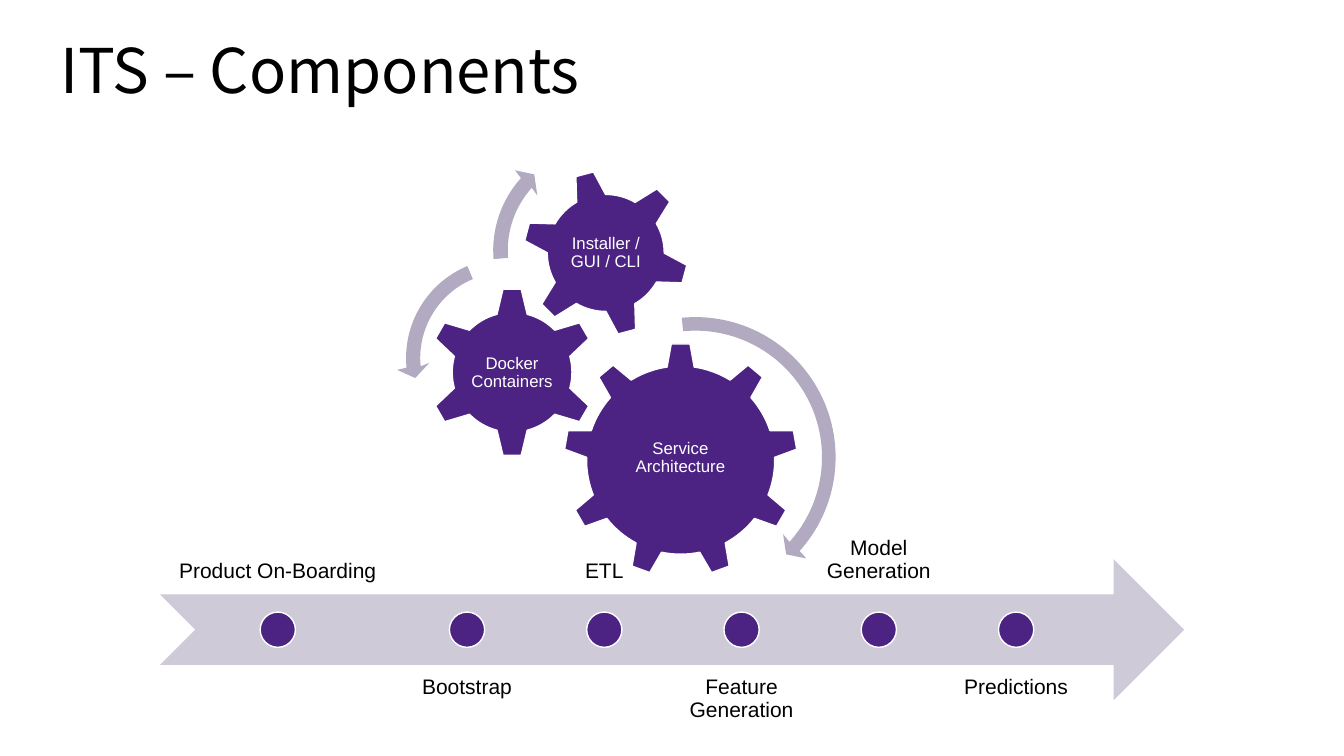
import math

import lxml.etree
import pptx
import pptx.dml.color
import pptx.enum.shapes
import pptx.enum.text
import pptx.oxml.ns
import pptx.util

Pt = pptx.util.Pt
RGB = pptx.dml.color.RGBColor.from_string
SHAPE = pptx.enum.shapes.MSO_SHAPE
ANCHOR = pptx.enum.text.MSO_ANCHOR
ALIGN = pptx.enum.text.PP_ALIGN
qn = pptx.oxml.ns.qn

THEME = {
    "purple": RGB("4C2383"), "band": RGB("CECAD8"), "swirl": RGB("B1AAC0"),
    "white": RGB("FFFFFF"), "black": RGB("000000"),
    "title_font": "Noto Sans CJK SC", "body_font": "Arial",
    "title_size": 44, "label_size": 15, "gear_size": 12,
}

presentation = pptx.Presentation()
presentation.slide_width, presentation.slide_height = Pt(960), Pt(540)
slide = presentation.slides.add_slide(presentation.slide_layouts[6])


def add_text(text, left, top, width, height, size, color, anchor, inset,
             font=THEME["body_font"], align=ALIGN.CENTER, spacing=0.9):
    frame = slide.shapes.add_textbox(Pt(left), Pt(top), Pt(width), Pt(height)).text_frame
    frame.word_wrap = True
    frame.vertical_anchor = anchor
    frame.margin_left = frame.margin_right = Pt(inset[0])
    frame.margin_top = frame.margin_bottom = Pt(inset[1])
    frame.text = text
    paragraph = frame.paragraphs[0]
    paragraph.alignment, paragraph.line_spacing = align, spacing
    run_font = paragraph.runs[0].font
    run_font.name, run_font.size, run_font.color.rgb = font, Pt(size), color


def add_outline(parts, color):
    """Draw corners (x, y) and circular arcs (x, y, radius, start, end)."""
    points, curves = [], []
    for part in parts:
        if len(part) == 2:
            points.append(part)
            continue
        x, y, radius, start, end = part
        pieces = math.ceil(abs(end - start) / (math.pi / 2))
        sweep = (end - start) / pieces
        handle = radius * 4 / 3 * math.tan(sweep / 4)
        for piece in range(pieces):
            curves.append(len(points) - 1)
            for turn, pull in ((start + piece * sweep, handle),
                               (start + (piece + 1) * sweep, -handle),
                               (start + (piece + 1) * sweep, 0)):
                points.append((x + radius * math.cos(turn) - pull * math.sin(turn),
                               y + radius * math.sin(turn) + pull * math.cos(turn)))
    corners = [(Pt(x), Pt(y)) for x, y in points]
    builder = slide.shapes.build_freeform(*corners[0])
    builder.add_line_segments(corners[1:], close=True)
    shape = builder.convert_to_shape()
    shape.shadow.inherit = False
    shape.fill.solid()
    shape.fill.fore_color.rgb = color
    shape.line.fill.background()
    # Join each arc's three points into one Bézier curve
    outline = next(shape.element.iter(qn("a:path")))
    lines = outline.findall(qn("a:lnTo"))
    for first in curves:
        curve = lxml.etree.SubElement(outline, qn("a:cubicBezTo"))
        lines[first].addprevious(curve)
        for line in lines[first:first + 3]:
            curve.append(line[0])
            outline.remove(line)
    return shape


# Title
add_text("ITS – Components", 36, 0, 888, 79.2, THEME["title_size"], THEME["black"],
         ANCHOR.BOTTOM, (7.2, 3.6), THEME["title_font"], ALIGN.LEFT, 1)

# Timeline arrow
timeline = slide.shapes.add_shape(SHAPE.NOTCHED_RIGHT_ARROW,
                                  Pt(114.3), Pt(399.4), Pt(731.5), Pt(100.8))
timeline.shadow.inherit = False
timeline.fill.solid()
timeline.fill.fore_color.rgb = THEME["band"]
timeline.line.fill.background()

# Milestones: labels alternate above and below the arrow
milestones = ["Product On-Boarding", "Bootstrap", "ETL",
              "Feature Generation", "Model Generation", "Predictions"]
dot_size = 25.2
for index, label in enumerate(milestones):
    center = 333.6 + (index - 1) * 98.05 if index else 198.4
    width = 93.6 if index else 167.8
    top, anchor = (475, ANCHOR.TOP) if index % 2 else (323.8, ANCHOR.BOTTOM)
    add_text(label, center - width / 2, top, width, 100.8,
             THEME["label_size"], THEME["black"], anchor, (8.4, 8.4))
    dot = slide.shapes.add_shape(SHAPE.OVAL, Pt(center - dot_size / 2),
                                 Pt(449.8 - dot_size / 2), Pt(dot_size), Pt(dot_size))
    dot.shadow.inherit = False
    dot.fill.solid()
    dot.fill.fore_color.rgb = THEME["purple"]
    dot.line.color.rgb = THEME["white"]
    dot.line.width = Pt(1)

# Gears: label, center, teeth, (base distance, half width), (tip distance, half width),
# rotation, text box
gears = [
    ("Service Architecture", (486.2, 328.7), 9, (66.5, 9.7), (83, 6.7), 0,
     (436, 283.9, 100.1, 86.4)),
    ("Docker Containers", (365.8, 265.9), 6, (41.4, 10.8), (59.4, 6.5), 0,
     (335.3, 236.2, 61, 60.5)),
    ("Installer / GUI / CLI", (432.7, 180.7), 6, (40.4, 10.7), (58.2, 6.5), -15,
     (399.3, 147.4, 67, 67)),
]
for label, (x, y), teeth, base, tip, rotation, text_box in gears:
    pitch = math.tau / teeth
    body_radius = math.hypot(*base)
    half_tooth = math.atan2(base[1], base[0])
    outline = []
    for tooth in range(teeth):
        angle = tooth * pitch - math.pi / 2
        for distance, offset in ((base[0], -base[1]), (tip[0], -tip[1]),
                                 (tip[0], tip[1]), (base[0], base[1])):
            outline.append((x + distance * math.cos(angle) - offset * math.sin(angle),
                            y + distance * math.sin(angle) + offset * math.cos(angle)))
        outline.append((x, y, body_radius, angle + half_tooth, angle + pitch - half_tooth))
    gear = add_outline(outline, THEME["purple"])
    gear.rotation = rotation
    gear.line.color.rgb = THEME["white"]
    gear.line.width = Pt(1)
    add_text(label, *text_box, THEME["gear_size"], THEME["white"], ANCHOR.MIDDLE, (1, 1.4))

# Rotation arrows: center, outer and inner radius, start and end degrees, arrowhead
swirls = [
    ((496.8, 326.6), 100.1, 90.4, -95.6, 42,
     [(576, 398.9), (561.6, 396), (559.4, 381.6)]),
    ((361.4, 255.8), 71.3, 61.2, 247.3, 174.5,
     [(283.7, 264.2), (296.6, 270), (306.7, 259.2)]),
    ((429.5, 178.9), 77.2, 66.8, 175.4, 222,
     [(367.9, 121.7), (381.6, 124.6), (383.8, 139.7)]),
]
for (x, y), outer, inner, start, end, head in swirls:
    start, end = math.radians(start), math.radians(end)
    tail = (x + outer * math.cos(start), y + outer * math.sin(start))
    neck = (x + inner * math.cos(end), y + inner * math.sin(end))
    add_outline([tail, (x, y, outer, start, end), *head, neck, (x, y, inner, end, start)],
                THEME["swirl"])

presentation.save("out.pptx")
